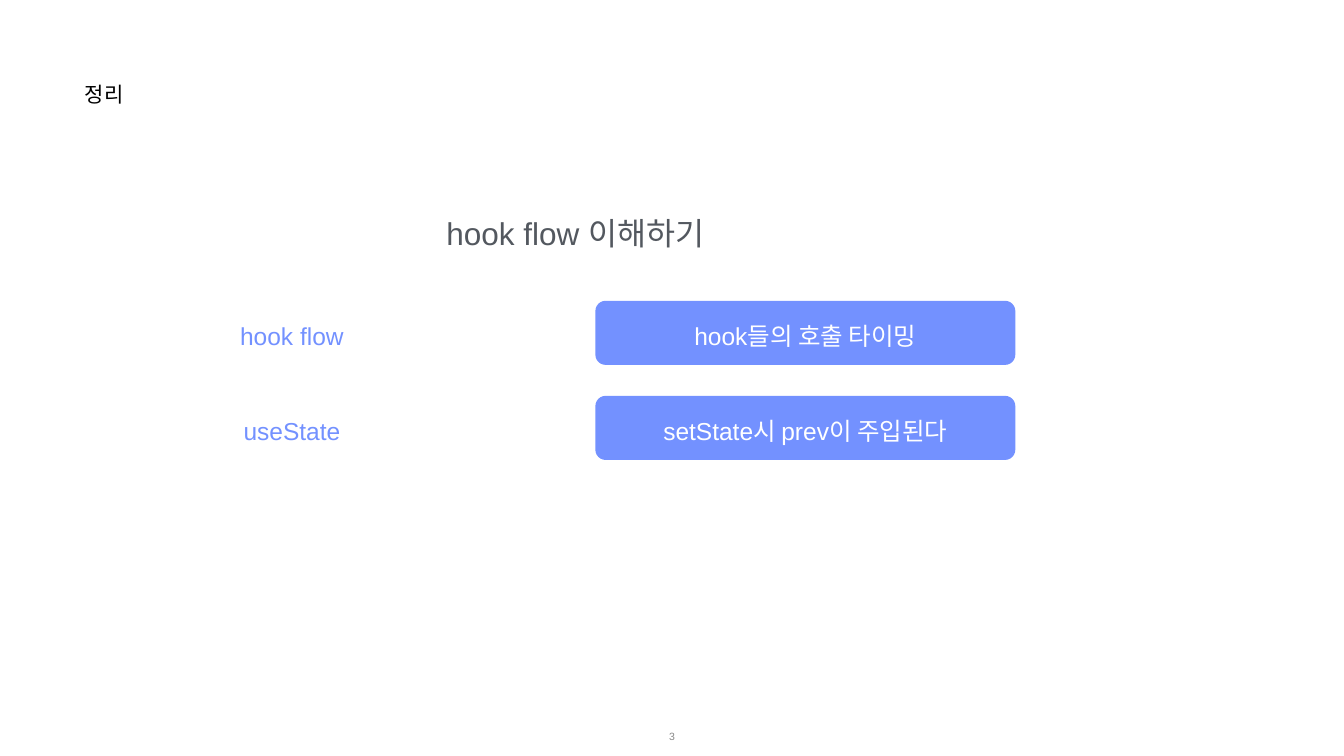
from pptx import Presentation
from pptx import util as u
from pptx.dml.color import RGBColor
from pptx.enum import shapes, text

BLUE, WHITE = "7391FF", "FFFFFF"
TOP, MID = text.MSO_ANCHOR.TOP, text.MSO_ANCHOR.MIDDLE
LEFT, MIDDLE = text.PP_ALIGN.LEFT, text.PP_ALIGN.CENTER

# words, (left, top, width, height) in cm, size, colour, align, anchor
LINES = [
    ("정리", (4.24, 4.06, 12.34, 3), 30, "000000", LEFT, TOP),
    ("hook flow 이해하기", (6.71, 10.77, 44.55, 2), 45, "53585F", MIDDLE, TOP),
    ("3", (26.24, 36.09, 15.24, 2), 15, "888888", MIDDLE, MID),
]
ROWS = [
    ("hook flow", "hook들의 호출 타이밍"),
    ("useState", "setState시 prev이 주입된다"),
]
ROW_TOP, ROW_STEP = 15.16, 4.79
BAR_LEFT, BAR_WIDE, BAR_HIGH = 30, 21.16, 3.23
KEY_LEFT, KEY_WIDE = 6.77, 15.88
TEXT_DROP, TEXT_HIGH = 0.96, 1.57


def color(code):
    return RGBColor.from_string(code)


def put(slide, words, box, size, code, align=MIDDLE, anchor=MID):
    """Add a line of text in a box given in cm."""
    frame = slide.shapes.add_textbox(*map(u.Cm, box)).text_frame
    frame.word_wrap = True
    frame.vertical_anchor = anchor
    frame.margin_left = frame.margin_right = u.Cm(0.03)
    frame.margin_top = frame.margin_bottom = u.Cm(0.03)
    frame.text = words
    line = frame.paragraphs[0]
    line.alignment = align
    font = line.runs[0].font
    font.name, font.size = "Arial", u.Pt(size)
    font.color.rgb = color(code)


def bar(slide, top):
    """Add the rounded blue bar of one row."""
    shape = slide.shapes.add_shape(
        shapes.MSO_SHAPE.ROUNDED_RECTANGLE,
        *map(u.Cm, (BAR_LEFT, top, BAR_WIDE, BAR_HIGH)))
    shape.adjustments[0] = 0.16
    shape.shadow.inherit = False
    shape.fill.solid()
    shape.fill.fore_color.rgb = color(BLUE)
    shape.line.fill.background()


def main():
    deck = Presentation()
    deck.slide_width, deck.slide_height = u.Cm(67.72), u.Cm(38.1)
    slide = deck.slides.add_slide(deck.slide_layouts[6])
    for line in LINES:
        put(slide, *line)
    for i, (key, note) in enumerate(ROWS):
        top = ROW_TOP + i * ROW_STEP
        drop = top + TEXT_DROP
        bar(slide, top)
        put(slide, key, (KEY_LEFT, drop, KEY_WIDE, TEXT_HIGH), 35, BLUE)
        put(slide, note, (BAR_LEFT, drop, BAR_WIDE, TEXT_HIGH), 35, WHITE)
    deck.save("out.pptx")


if __name__ == "__main__":
    main()
